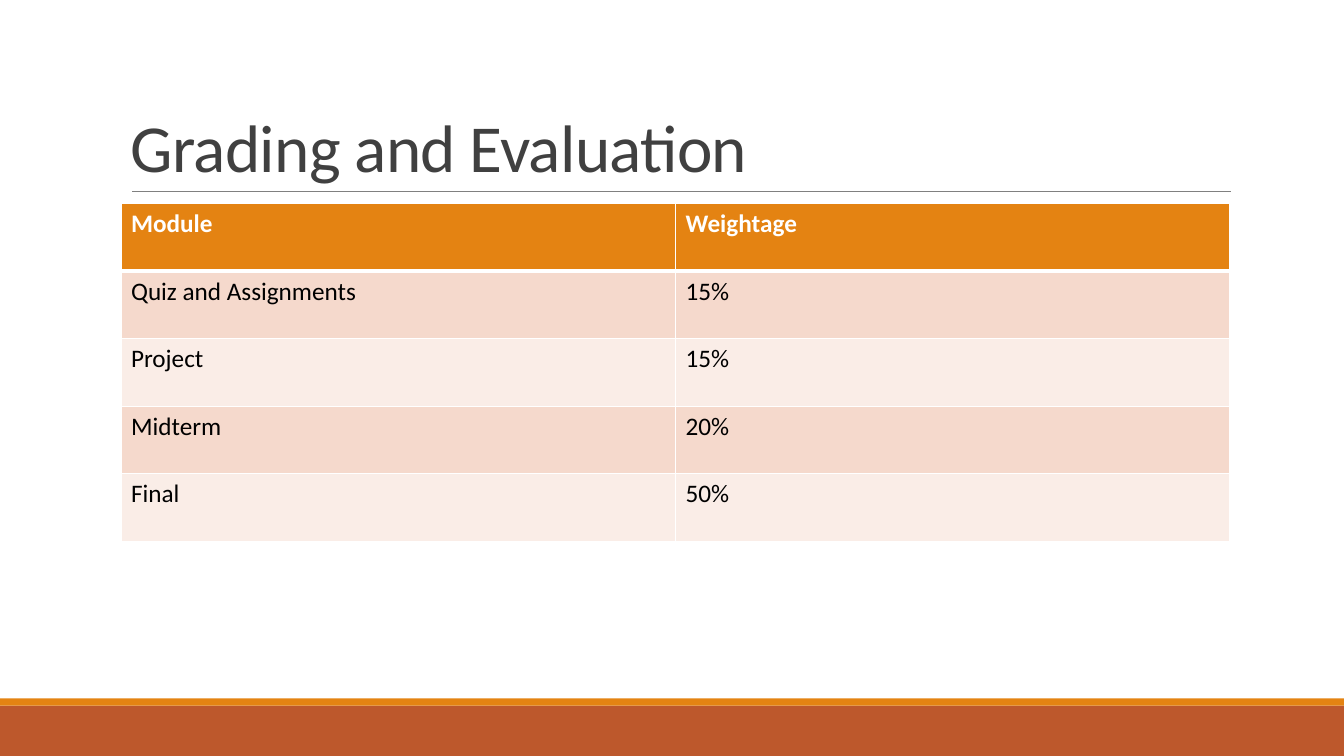
import pptx
import pptx.util
import pptx.dml.color
import pptx.enum.shapes
import pptx.enum.text
import pptx.oxml.ns
import lxml.etree
from dataclasses import dataclass

Inches = pptx.util.Inches
Pt = pptx.util.Pt
qn = pptx.oxml.ns.qn


@dataclass(frozen=True)
class Theme:
    font: str = "Calibri"
    title: int = 48
    body: int = 18
    orange: str = "E48312"
    rust: str = "BD582C"
    dark: str = "404040"
    gray: str = "808080"
    white: str = "FFFFFF"
    black: str = "000000"
    bands: tuple = ("F5D9CC", "FAEDE7")


THEME = Theme()
ROWS = [
    ("Module", "Weightage"),
    ("Quiz and Assignments", "15%"),
    ("Project", "15%"),
    ("Midterm", "20%"),
    ("Final", "50%"),
]


def rgb(code):
    return pptx.dml.color.RGBColor.from_string(code)


def write(frame, text, size=THEME.body, color=THEME.black, bold=False,
          leading=None, track=None):
    """Put formatted text in the first paragraph of a frame."""
    para = frame.paragraphs[0]
    if leading:
        para.line_spacing = leading
    run = para.add_run()
    run.text = text
    font = run.font
    font.name, font.size, font.bold = THEME.font, Pt(size), bold
    font.color.rgb = rgb(color)
    if track:
        run._r.get_or_add_rPr().set("spc", str(int(track * 100)))


def add_bar(slide, top, height, color):
    bar = slide.shapes.add_shape(
        pptx.enum.shapes.MSO_SHAPE.RECTANGLE,
        0, Inches(top), Inches(13.33), Inches(height))
    bar.shadow.inherit = False
    bar.fill.solid()
    bar.fill.fore_color.rgb = rgb(color)
    bar.line.fill.background()


def add_rule(slide, left, right, top):
    rule = slide.shapes.add_connector(
        pptx.enum.shapes.MSO_CONNECTOR.STRAIGHT,
        Inches(left), Inches(top), Inches(right), Inches(top))
    rule.line.color.rgb = rgb(THEME.gray)
    rule.line.width = Pt(0.5)
    lxml.etree.SubElement(rule._element.spPr, qn("a:effectLst"))


def add_title(slide, text):
    box = slide.shapes.add_textbox(
        Inches(1.2), Inches(0.31), Inches(11), Inches(1.59))
    frame = box.text_frame
    frame.word_wrap = True
    frame.vertical_anchor = pptx.enum.text.MSO_ANCHOR.BOTTOM
    write(frame, text, size=THEME.title, color=THEME.dark,
          leading=0.85, track=-0.5)


def add_edges(cell, top=1, bottom=1):
    """Draw white borders, with widths in points."""
    props = cell._tc.get_or_add_tcPr()
    for side, width in zip("LRTB", (1, 1, top, bottom)):
        edge = lxml.etree.SubElement(
            props, qn("a:ln" + side), w=str(Pt(width)))
        fill = lxml.etree.SubElement(edge, qn("a:solidFill"))
        lxml.etree.SubElement(fill, qn("a:srgbClr"), val=THEME.white)


def add_grid(slide, rows):
    high = 0.67
    grid = slide.shapes.add_table(
        len(rows), len(rows[0]), Inches(1.2), Inches(2.02),
        Inches(11), Inches(high * len(rows))).table
    for i, row in enumerate(rows):
        grid.rows[i].height = Inches(high)
        head = i == 0
        shade = THEME.orange if head else THEME.bands[(i - 1) % 2]
        for j, text in enumerate(row):
            cell = grid.cell(i, j)
            add_edges(cell, top=3 if i == 1 else 1, bottom=3 if head else 1)
            cell.fill.solid()
            cell.fill.fore_color.rgb = rgb(shade)
            write(cell.text_frame, text, bold=head,
                  color=THEME.white if head else THEME.black)


def main():
    deck = pptx.Presentation()
    deck.slide_width, deck.slide_height = Inches(13.33), Inches(7.5)
    slide = deck.slides.add_slide(deck.slide_layouts[6])

    # Footer bands
    add_bar(slide, 7, 0.5, THEME.rust)
    add_bar(slide, 6.93, 0.07, THEME.orange)

    # Heading
    add_rule(slide, 1.31, 12.21, 1.9)
    add_title(slide, "Grading and Evaluation")

    # Grading table
    add_grid(slide, ROWS)

    deck.save("out.pptx")


main()
